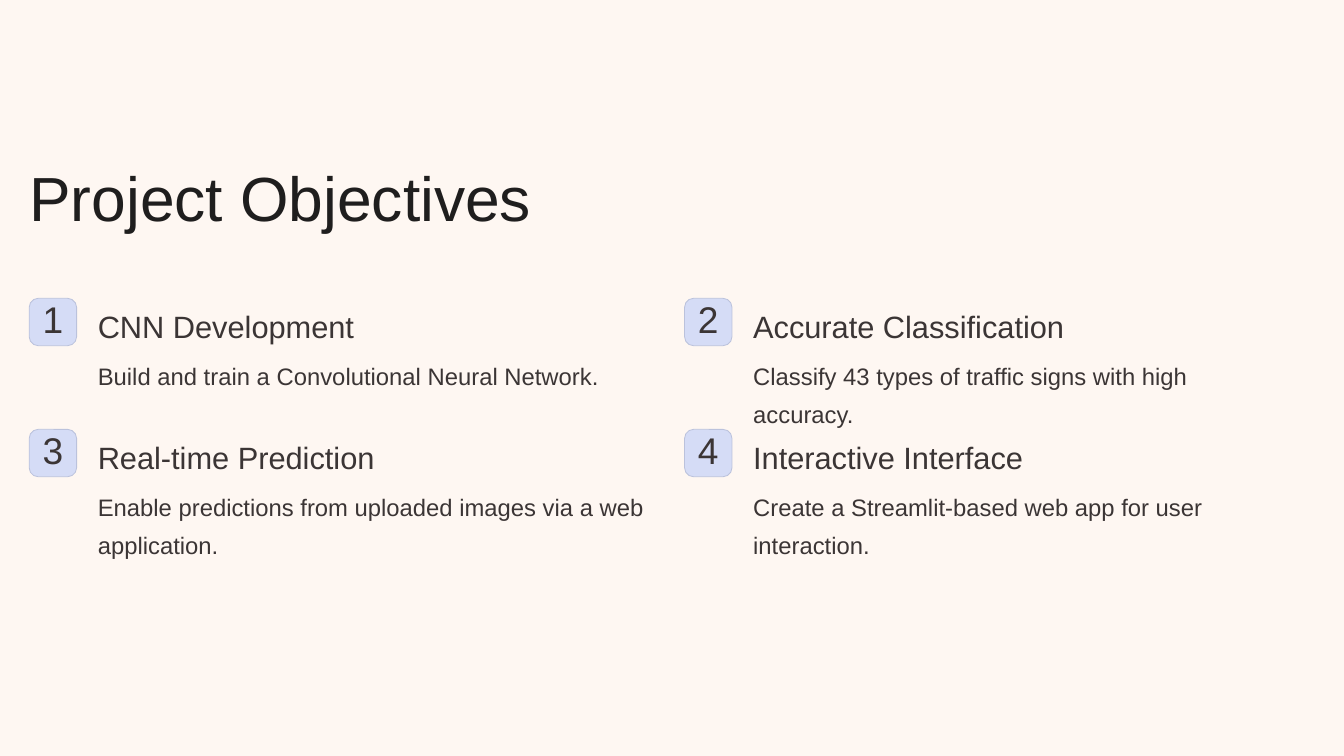
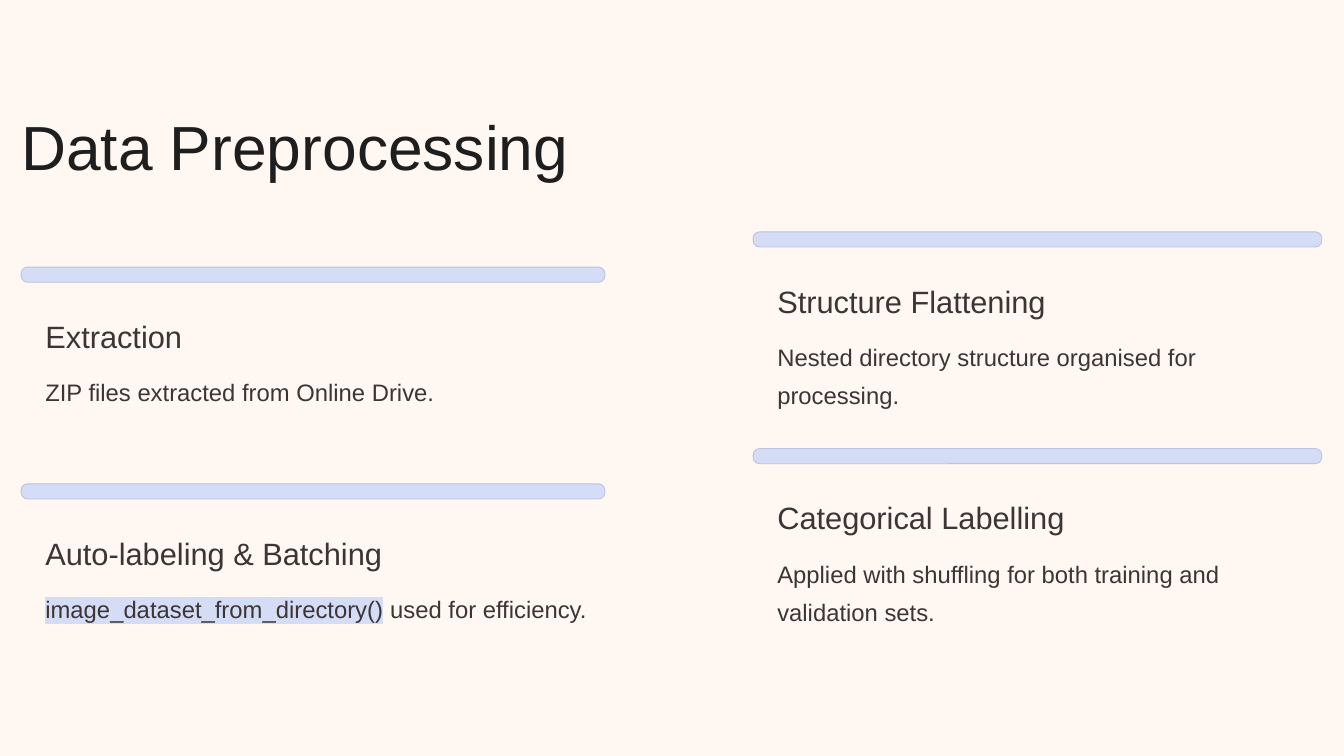
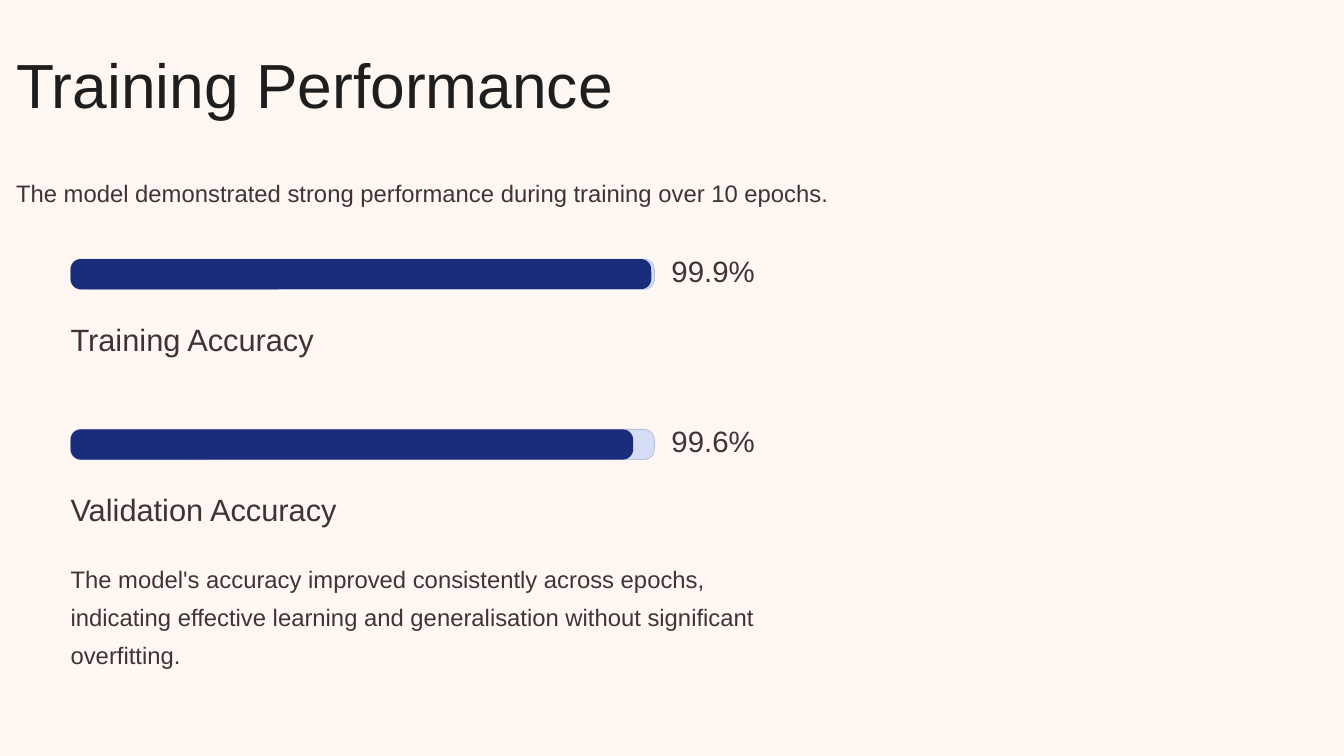
from lxml.etree import SubElement
from pptx import Presentation
from pptx.dml.color import RGBColor
from pptx.enum.shapes import MSO_SHAPE
from pptx.enum.text import MSO_ANCHOR, MSO_AUTO_SIZE, PP_ALIGN
from pptx.oxml.ns import qn
from pptx.util import Inches, Pt

CREAM = RGBColor(0xFE, 0xF7, 0xF2)
BLACK = RGBColor(0x1F, 0x1E, 0x1E)
BROWN = RGBColor(0x3B, 0x35, 0x35)
PALE = RGBColor(0xD5, 0xDC, 0xF6)
EDGE = RGBColor(0xBB, 0xC2, 0xDC)
NAVY = RGBColor(0x1A, 0x2D, 0x7A)

FONT = "Arial"
TITLE = (44.5, 56)
HEAD = (22, 28)
BODY = (17, 27)
RATE = (21, 21)
BADGE = (26.5, 26.5)

GOALS = [
    ("CNN Development", "Build and train a Convolutional Neural Network."),
    ("Accurate Classification",
     "Classify 43 types of traffic signs with high\naccuracy."),
    ("Real-time Prediction",
     "Enable predictions from uploaded images via a web application."),
    ("Interactive Interface",
     "Create a Streamlit-based web app for user interaction."),
]
STEPS = [
    ("Extraction", "", "ZIP files extracted from Online Drive."),
    ("Structure Flattening", "",
     "Nested directory structure organised for\nprocessing."),
    ("Auto-labeling & Batching", "image_dataset_from_directory()",
     " used for efficiency."),
    ("Categorical Labelling", "",
     "Applied with shuffling for both training and validation sets."),
]
RATES = [("Training Accuracy", "99.9%", 5.76),
         ("Validation Accuracy", "99.6%", 5.58)]


def style(frame, kind, color=BROWN, align=PP_ALIGN.LEFT, wrap=True):
    """Format a text frame with one of the shared type styles."""
    size, pitch = kind
    frame.margin_left = frame.margin_right = 0
    frame.margin_top = frame.margin_bottom = 0
    frame.vertical_anchor = MSO_ANCHOR.TOP
    frame.auto_size = MSO_AUTO_SIZE.NONE
    frame.word_wrap = wrap
    for para in frame.paragraphs:
        para.alignment = align
        para.line_spacing = Pt(pitch)
        for run in para.runs:
            run.font.name = FONT
            run.font.size = Pt(size)
            run.font.color.rgb = color


def mark(run):
    """Highlight a run in the pale accent colour."""
    props = run.font.fill._xPr
    glow = SubElement(props, qn("a:highlight"))
    SubElement(glow, qn("a:srgbClr"), val=str(PALE))
    props.find(qn("a:solidFill")).addnext(glow)


def place(shape, left, top, width, height):
    """Move a shape to a box given in inches."""
    shape.left, shape.top = Inches(left), Inches(top)
    shape.width, shape.height = Inches(width), Inches(height)


def label(slide, box, words, kind, code="", wrap=True):
    """Add a text box, with optional highlighted code in front."""
    frame = slide.shapes.add_textbox(*map(Inches, box)).text_frame
    frame.text = code or words
    para = frame.paragraphs[0]
    if code:
        para.add_run().text = words
    style(frame, kind, wrap=wrap)
    if code:
        mark(para.runs[0])


def block(slide, box, curve, fill=PALE, edge=EDGE):
    """Add a rounded rectangle and return it."""
    shape = slide.shapes.add_shape(MSO_SHAPE.ROUNDED_RECTANGLE,
                                   *map(Inches, box))
    shape.adjustments[0] = curve
    shape.shadow.inherit = False
    shape.fill.solid()
    shape.fill.fore_color.rgb = fill
    if edge is None:
        shape.line.fill.background()
    else:
        shape.line.color.rgb = edge
        shape.line.width = Pt(0.6)
    return shape


def start(deck, words, left, top):
    """Add a titled slide."""
    slide = deck.slides.add_slide(deck.slide_layouts[5])
    title = slide.shapes.title
    place(title, left, top, 6.85, 0.78)
    title.text_frame.text = words
    style(title.text_frame, TITLE, BLACK, wrap=False)
    return slide


def goal(slide, left, top, num, head, body):
    """Add a numbered objective."""
    frame = block(slide, (left, top, 0.47, 0.47), 0.19).text_frame
    frame.text = str(num)
    style(frame, BADGE, align=PP_ALIGN.CENTER)
    frame.margin_top = Inches(0.03)
    label(slide, (left + 0.68, top + 0.07, 3.2, 0.35), head, HEAD, wrap=False)
    label(slide, (left + 0.68, top + 0.54, 5.55, 0.67), body, BODY)


def step(slide, left, top, width, head, code, body):
    """Add a preprocessing step under a bar."""
    block(slide, (left, top, width, 0.15), 0.42)
    label(slide, (left + 0.24, top + 0.48, 3.25, 0.16), head, HEAD, wrap=False)
    label(slide, (left + 0.24, top + 1.01, 5.4, 0.31), body, BODY, code)


def meter(slide, left, top, head, rate, done):
    """Add a progress bar with its value and caption."""
    block(slide, (left, top, 5.79, 0.3), 0.34)
    block(slide, (left, top, done, 0.3), 0.34, NAVY, None)
    label(slide, (left + 5.96, top, 0.92, 0.3), rate, RATE, wrap=False)
    label(slide, (left, top + 0.59, 3.14, 0.39), head, HEAD, wrap=False)


def aims(deck):
    """Build the objectives slide."""
    slide = start(deck, "Project Objectives", 0.29, 1.54)
    for i, item in enumerate(GOALS):
        row, col = divmod(i, 2)
        goal(slide, 0.29 + 6.5 * col, 2.96 + 1.3 * row, i + 1, *item)


def prep(deck):
    """Build the preprocessing slide."""
    slide = start(deck, "Data Preprocessing", 0.21, 1.04)
    sides = [(0.21, 2.65, 5.79), (7.47, 2.3, 5.64)]
    for i, item in enumerate(STEPS):
        row, col = divmod(i, 2)
        left, top, width = sides[col]
        step(slide, left, top + 2.15 * row, width, *item)


def score(deck):
    """Build the performance slide."""
    slide = start(deck, "Training Performance", 0.16, 0.42)
    label(slide, (0.16, 1.68, 13, 0.38),
          "The model demonstrated strong performance during training "
          "over 10 epochs.", BODY)
    for i, item in enumerate(RATES):
        meter(slide, 0.7, 2.57 + 1.69 * i, *item)
    label(slide, (0.7, 5.51, 6.88, 1.14),
          "The model's accuracy improved consistently across epochs, "
          "indicating effective learning and generalisation without "
          "significant overfitting.", BODY)


def main():
    """Build and save the deck."""
    deck = Presentation()
    deck.slide_width, deck.slide_height = Inches(13.33), Inches(7.5)
    fill = deck.slide_master.background.fill
    fill.solid()
    fill.fore_color.rgb = CREAM
    aims(deck)
    prep(deck)
    score(deck)
    deck.save("out.pptx")


if __name__ == "__main__":
    main()
